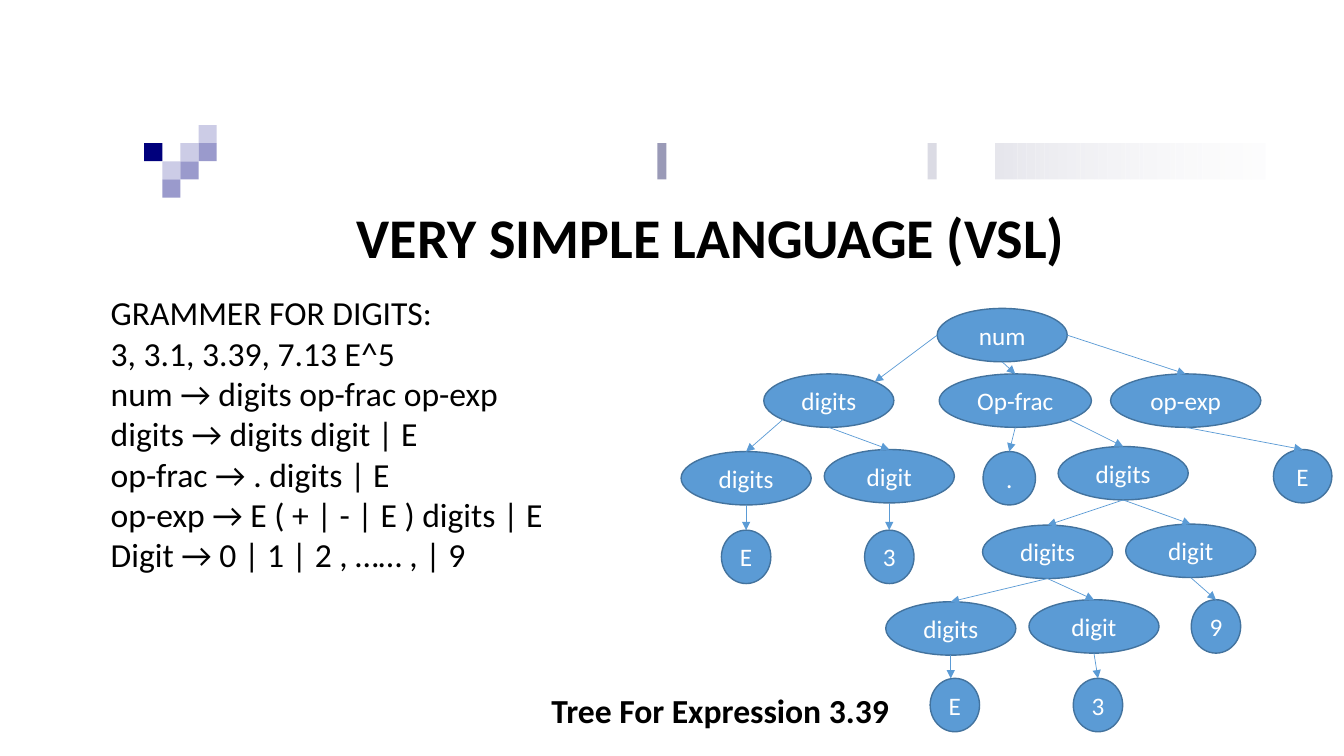
from math import cos, sin, radians
from lxml import etree
from pptx import Presentation
from pptx.dml.color import RGBColor as RGB
from pptx.enum.shapes import MSO_CONNECTOR as Link, MSO_SHAPE as Shape
from pptx.enum.text import MSO_ANCHOR as Anchor, PP_ALIGN as Align
from pptx.oxml.ns import qn
from pptx.util import Inches, Pt

# Content
TITLE = "VERY SIMPLE LANGUAGE (VSL)"
GRAMMAR = [
    "GRAMMER FOR DIGITS:",
    "3, 3.1, 3.39, 7.13 E^5",
    "num → digits op-frac op-exp",
    "digits → digits digit | E",
    "op-frac → . digits | E",
    "op-exp → E ( + | - | E ) digits | E",
    "Digit → 0 | 1 | 2 , …… , | 9",
]
CAPTION = "Tree For Expression 3.39"
FONT = "Calibri"
COLORS = {
    "black": "000000", "white": "FFFFFF", "node": "5B9BD5", "rim": "43739E",
    "navy": "00007C", "mid": "9A9ACC", "pale": "CCCCE6",
    "bar": "9A9AB7", "tick": "DBDBE4",
}

# Tree nodes: text, centre x, top, width
WIDE, SMALL, TALL = 1.29, 0.49, 0.53
NODES = {
    "num": ("num", 9.94, 3.06, WIDE),
    "int": ("digits", 8.22, 3.71, WIDE),
    "frac": ("Op-frac", 10.07, 3.71, 1.51),
    "exp": ("op-exp", 11.76, 3.71, 1.49),
    "int list": ("digits", 7.4, 4.48, WIDE),
    "int last": ("digit", 8.82, 4.46, WIDE),
    "dot": (".", 10.01, 4.48, 0.52),
    "frac list": ("digits", 11.14, 4.43, WIDE),
    "exp end": ("E", 12.92, 4.46, 0.58),
    "int end": ("E", 7.4, 5.26, SMALL),
    "int three": ("3", 8.82, 5.26, SMALL),
    "head": ("digits", 10.39, 5.21, WIDE),
    "last": ("digit", 11.81, 5.2, WIDE),
    "rest": ("digits", 9.43, 5.97, WIDE),
    "first": ("digit", 10.85, 5.95, WIDE),
    "nine": ("9", 12.06, 5.95, SMALL),
    "rest end": ("E", 9.47, 6.73, SMALL),
    "three": ("3", 10.89, 6.73, SMALL),
}

# Edges: parent, angle on its rim, child, angle on its rim (0 right, 90 down)
DOWN, UP = 90, 270
EDGES = [
    ("num", 180, "int", 315), ("num", DOWN, "frac", UP), ("num", 0, "exp", UP),
    ("int", 135, "int list", UP), ("int", DOWN, "int last", UP),
    ("frac", DOWN, "dot", UP), ("frac", 45, "frac list", UP),
    ("exp", DOWN, "exp end", UP),
    ("int last", DOWN, "int three", UP), ("int list", DOWN, "int end", UP),
    ("frac list", DOWN, "head", UP), ("frac list", DOWN, "last", UP),
    ("last", DOWN, "nine", UP), ("first", DOWN, "three", UP),
    ("head", DOWN, "first", UP), ("head", DOWN, "rest", UP),
    ("rest", DOWN, "rest end", None),
]

# Header band: squares as column, row, colour; fade as units wide, colour
SQUARES = [(0, 1, "navy"), (2, 1, "pale"), (3, 0, "pale"), (1, 2, "pale"),
           (3, 1, "mid"), (2, 2, "mid"), (1, 3, "mid")]
MARKS = [(6.52, "bar"), (9.2, "tick")]
FADE = [
    (2, "E6E6EC"), (2, "E7E7ED"), (1, "E8E8EE"), (1, "E9E9EE"), (1, "E9E9EF"),
    (2, "EAEAEF"), (1, "EBEBF0"), (1, "ECECF0"), (1, "ECECF1"), (2, "EDEDF1"),
    (2, "EEEEF2"), (2, "EFEFF3"), (1, "F0F0F3"), (1, "F0F0F4"), (2, "F1F1F4"),
    (1, "F1F1F5"), (2, "F2F2F5"), (3, "F3F3F6"), (1, "F4F4F6"), (1, "F4F4F7"),
    (2, "F5F5F7"), (1, "F5F5F8"), (3, "F6F6F8"), (3, "F7F7F9"), (1, "F8F8F9"),
    (2, "F8F8FA"), (3, "F9F9FA"), (1, "F9F9FB"), (4, "FAFAFB"), (1, "FBFBFB"),
    (4, "FBFBFC"), (2, "FCFCFC"), (3, "FCFCFD"),
]

deck = Presentation()
deck.slide_width, deck.slide_height = Inches(13.33), Inches(7.5)
slide = deck.slides.add_slide(deck.slide_layouts[6])
shapes = slide.shapes


def write(frame, lines, size=24, color="black", bold=False, align=Align.LEFT,
          anchor=Anchor.TOP, space=1.0, wrap=True):
    frame.word_wrap = wrap
    frame.vertical_anchor = anchor
    for i, line in enumerate(lines):
        para = frame.add_paragraph() if i else frame.paragraphs[0]
        para.alignment, para.line_spacing = align, space
        run = para.add_run()
        run.text = line
        font = run.font
        font.name, font.size, font.bold = FONT, Pt(size), bold
        font.color.rgb = RGB.from_string(COLORS[color])


def text_box(x, y, w, h, lines, **form):
    box = shapes.add_textbox(Inches(x), Inches(y), Inches(w), Inches(h))
    write(box.text_frame, lines, **form)
    return box


def draw(kind, x, y, w, h, fill, rim=None):
    item = shapes.add_shape(kind, Inches(x), Inches(y), Inches(w), Inches(h))
    item.shadow.inherit = False
    item.fill.solid()
    item.fill.fore_color.rgb = RGB.from_string(fill)
    if rim:
        item.line.color.rgb = RGB.from_string(rim)
        item.line.width = Pt(1)
    else:
        item.line.fill.background()
    return item


def rim_point(name, angle):
    _, mid, top, wide = NODES[name]
    turn = radians(angle)
    return mid + wide / 2 * cos(turn), top + TALL / 2 * (1 + sin(turn))


def arrow(start, end):
    line = shapes.add_connector(Link.STRAIGHT, *map(Inches, start + end))
    line.line.color.rgb = RGB.from_string(COLORS["node"])
    line.line.width = Pt(0.5)
    props = line.line._get_or_add_ln()
    etree.SubElement(props, qn("a:tailEnd"), type="triangle")
    etree.SubElement(props.getparent(), qn("a:effectLst"))


# Header band
BAND, HIGH, SIDE = 1.42, 0.36, 0.18
UNIT = 2.68 / sum(n for n, _ in FADE)
for x, color in MARKS:
    draw(Shape.RECTANGLE, x, BAND, 2 * UNIT, HIGH, COLORS[color])
x = 9.87
for units, color in FADE:
    draw(Shape.RECTANGLE, x, BAND, units * UNIT, HIGH, color)
    x += units * UNIT
for col, row, color in SQUARES:
    draw(Shape.RECTANGLE, 1.43 + col * SIDE, BAND + (row - 1) * SIDE,
         SIDE, SIDE, COLORS[color])

# Title and grammar
head = text_box(2.62, 2.07, 8.86, 0.62, [TITLE], size=40, bold=True,
                align=Align.CENTER, anchor=Anchor.MIDDLE, space=0.9)
frame = head.text_frame
frame.margin_left = frame.margin_right = frame.margin_bottom = 0
frame.margin_top = Inches(0.01)
text_box(1, 2.85, 5.6, 2.93, GRAMMAR)

# Parse tree
for label, mid, top, wide in NODES.values():
    node = draw(Shape.OVAL, mid - wide / 2, top, wide, TALL,
                COLORS["node"], COLORS["rim"])
    write(node.text_frame, [label], size=18, color="white",
          align=Align.CENTER, anchor=Anchor.MIDDLE, wrap=False)
text_box(5.37, 6.8, 4.55, 0.5, [CAPTION], bold=True)
for parent, out, child, into in EDGES:
    start = rim_point(parent, out)
    # An edge with no end angle drops straight down to the child's top
    end = (start[0], NODES[child][2]) if into is None else rim_point(child, into)
    arrow(start, end)

deck.save("out.pptx")
